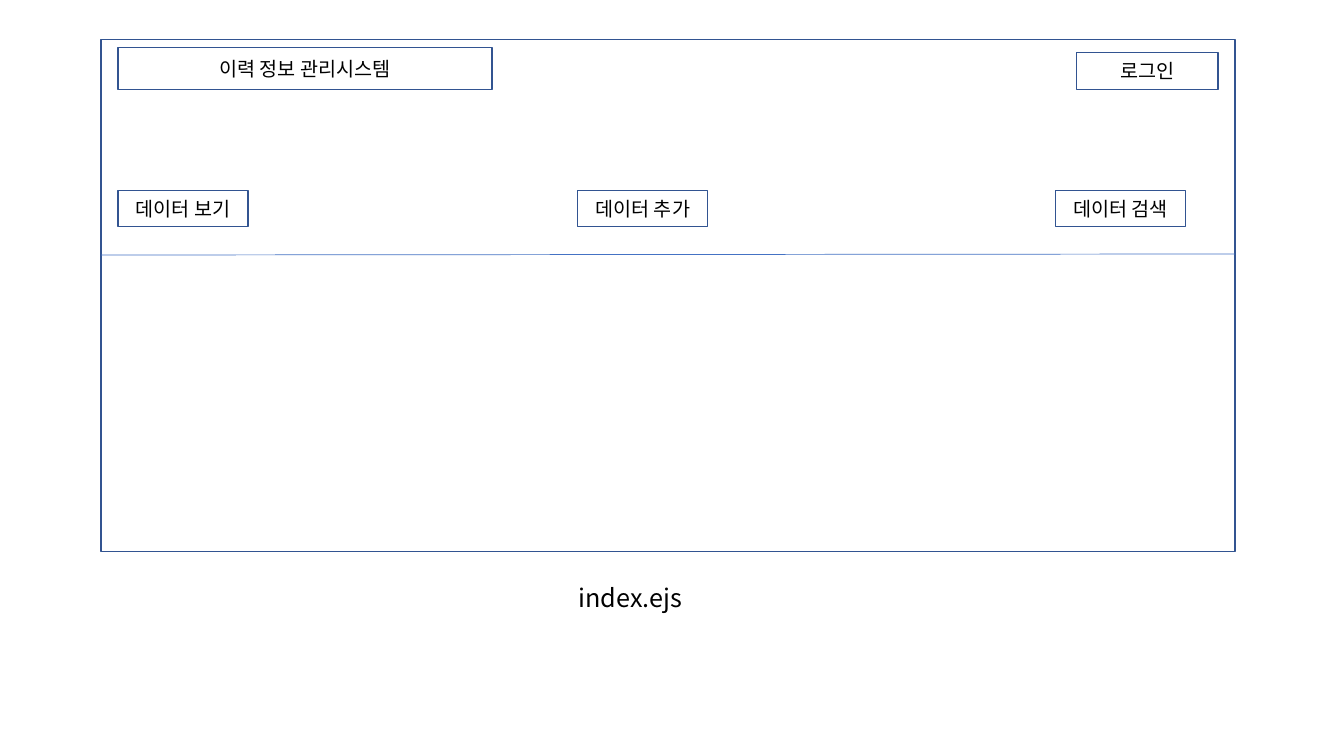
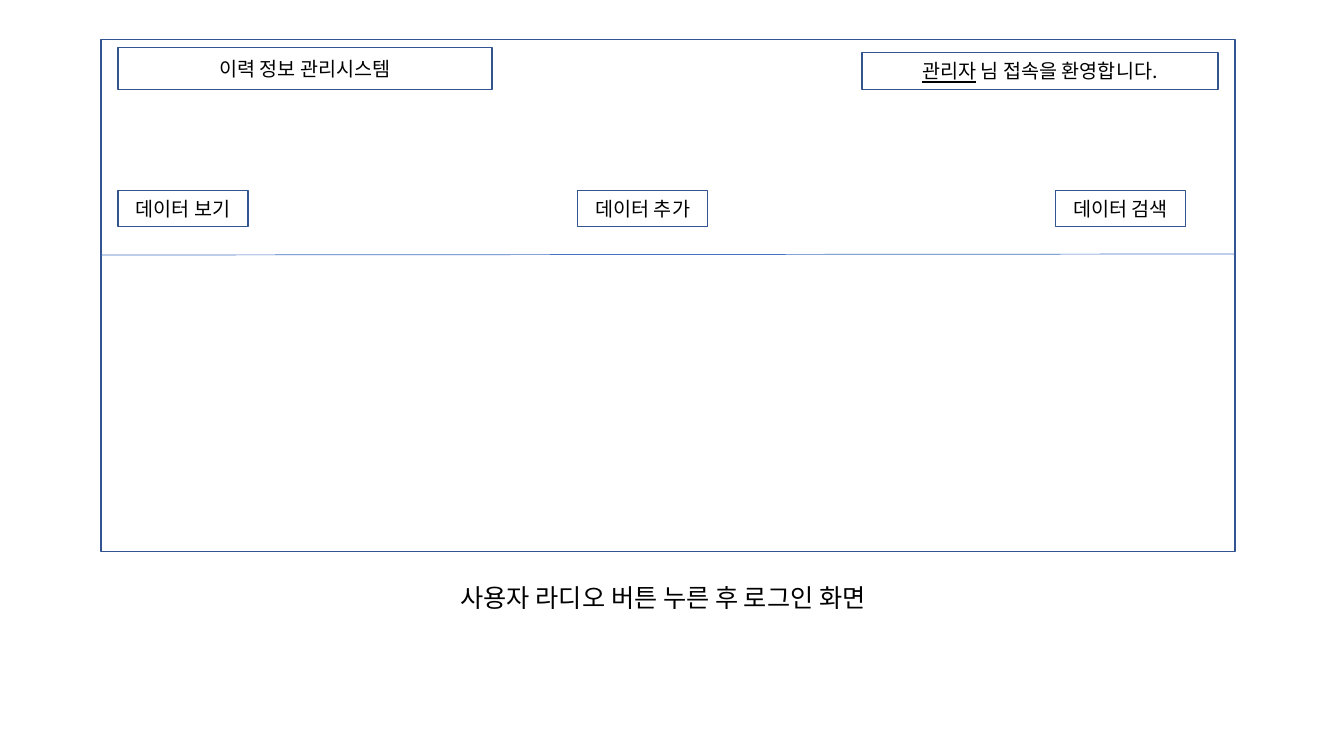
from dataclasses import dataclass

from lxml import etree
from pptx import Presentation
from pptx import util as u
from pptx.dml.color import RGBColor
from pptx.enum import shapes, text
from pptx.oxml.ns import qn
from pptx.slide import Slide
from pptx.text.text import TextFrame

PX = 9144  # EMU per px, 100 px to the inch
SLIDE_WIDTH, SLIDE_HEIGHT = 1333, 750
FONT = "Noto Sans CJK KR"
COLORS = {"border": "325491", "divider": "4472C4", "text": "000000"}


@dataclass(frozen=True)
class Box:
    left: int
    top: int
    width: int
    height: int

    def emu(self) -> tuple[int, ...]:
        return tuple(n * PX for n in (self.left, self.top, self.width, self.height))


@dataclass(frozen=True)
class Screen:
    """What differs between the screens; the account box ends at ACCOUNT_RIGHT."""
    account_width: int
    account_label: str
    caption: str
    caption_left: int
    caption_width: int
    user: str = ""


FRAME = Box(100, 39, 1125, 508)
SYSTEM_NAME = Box(117, 47, 371, 42)
ACCOUNT_RIGHT = 1208
MENU = {"데이터 보기": 117, "데이터 추가": 573, "데이터 검색": 1047}

SCREENS = [
    Screen(140, "로그인", "index.ejs", 564, 327),
    Screen(353, " 님 접속을 환영합니다.", "사용자 라디오 버튼 누른 후 로그인 화면",
           447, 523, user="관리자"),
]


def color(name: str) -> RGBColor:
    return RGBColor.from_string(COLORS[name])


def write(frame: TextFrame, words: str, *, size: int = 14, underline: bool = False,
          align: text.PP_ALIGN = text.PP_ALIGN.CENTER) -> None:
    """Append a run to the first paragraph, in one font for Latin and Korean."""
    paragraph = frame.paragraphs[0]
    paragraph.alignment = align
    run = paragraph.add_run()
    run.text = words
    font = run.font
    font.size = u.Pt(size)
    font.name = FONT
    font.underline = underline
    font.color.rgb = color("text")
    east_asian = etree.Element(qn("a:ea"), typeface=FONT)
    run._r.rPr.find(qn("a:latin")).addnext(east_asian)


def add_box(slide: Slide, box: Box) -> TextFrame:
    outline = slide.shapes.add_shape(shapes.MSO_SHAPE.RECTANGLE, *box.emu())
    outline.shadow.inherit = False
    outline.fill.background()
    outline.line.color.rgb = color("border")
    outline.line.width = u.Pt(1)
    frame = outline.text_frame
    frame.word_wrap = True
    frame.vertical_anchor = text.MSO_ANCHOR.MIDDLE
    return frame


def add_divider(slide: Slide) -> None:
    ends = (FRAME.left, 253, FRAME.left + FRAME.width, 252)
    divider = slide.shapes.add_connector(
        shapes.MSO_CONNECTOR.STRAIGHT, *(n * PX for n in ends))
    divider.line.color.rgb = color("divider")
    divider.line.width = u.Pt(0.5)
    etree.SubElement(divider._element.spPr, qn("a:effectLst"))


def add_caption(slide: Slide, screen: Screen) -> None:
    box = Box(screen.caption_left, 573, screen.caption_width, 40)
    frame = slide.shapes.add_textbox(*box.emu()).text_frame
    frame.word_wrap = True
    frame.auto_size = text.MSO_AUTO_SIZE.SHAPE_TO_FIT_TEXT
    write(frame, screen.caption, size=18, align=text.PP_ALIGN.LEFT)


def draw_screen(slide: Slide, screen: Screen) -> None:
    add_box(slide, FRAME)
    for label, left in MENU.items():
        write(add_box(slide, Box(left, 189, 129, 36)), label)
    add_caption(slide, screen)
    add_divider(slide)
    write(add_box(slide, SYSTEM_NAME), "이력 정보 관리시스템")
    account = add_box(slide, Box(ACCOUNT_RIGHT - screen.account_width, 52,
                                 screen.account_width, 37))
    if screen.user:
        write(account, screen.user, underline=True)
    write(account, screen.account_label)


def main() -> None:
    deck = Presentation()
    deck.slide_width, deck.slide_height = SLIDE_WIDTH * PX, SLIDE_HEIGHT * PX
    blank = deck.slide_layouts[6]
    for screen in SCREENS:
        draw_screen(deck.slides.add_slide(blank), screen)
    deck.save("out.pptx")


if __name__ == "__main__":
    main()
